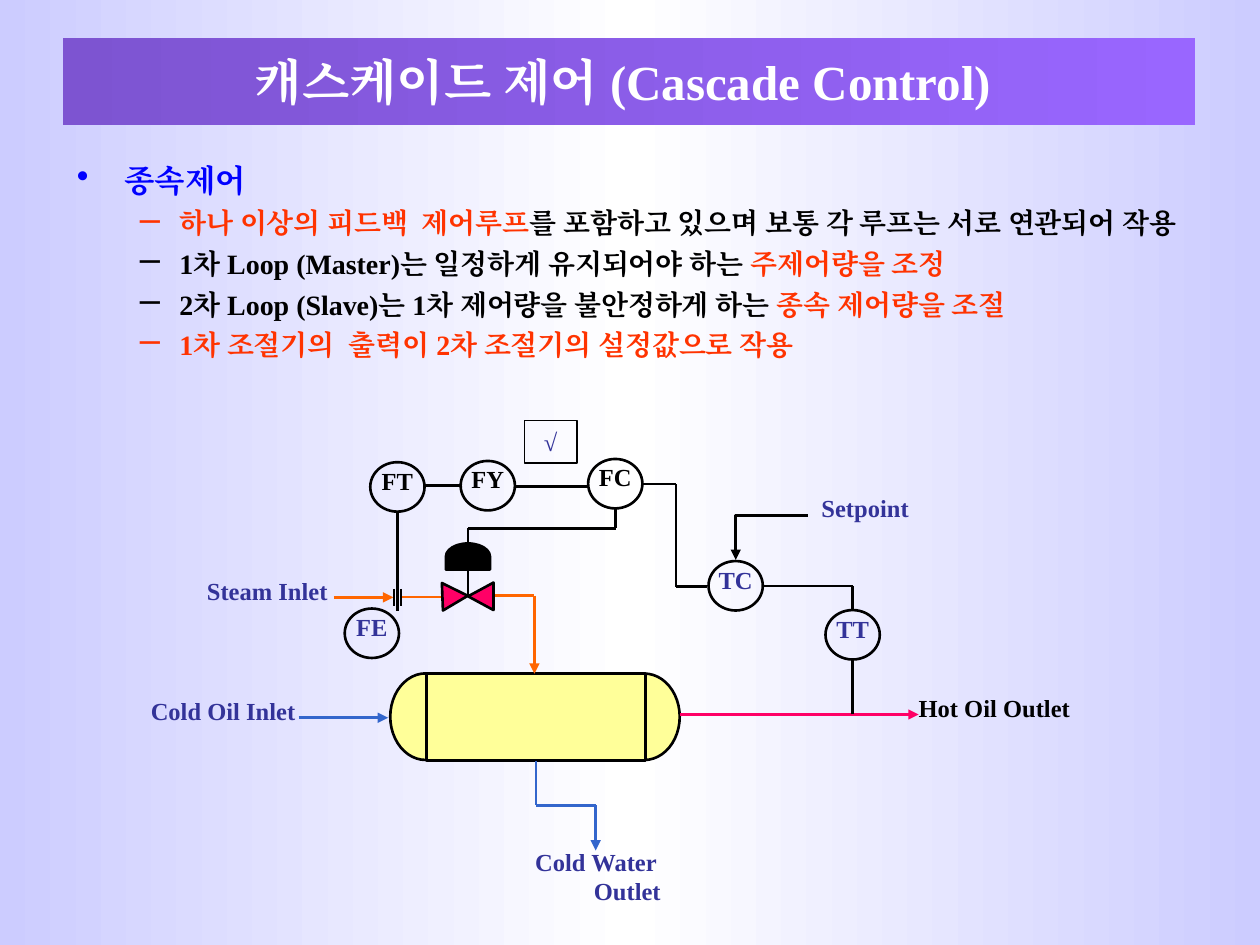
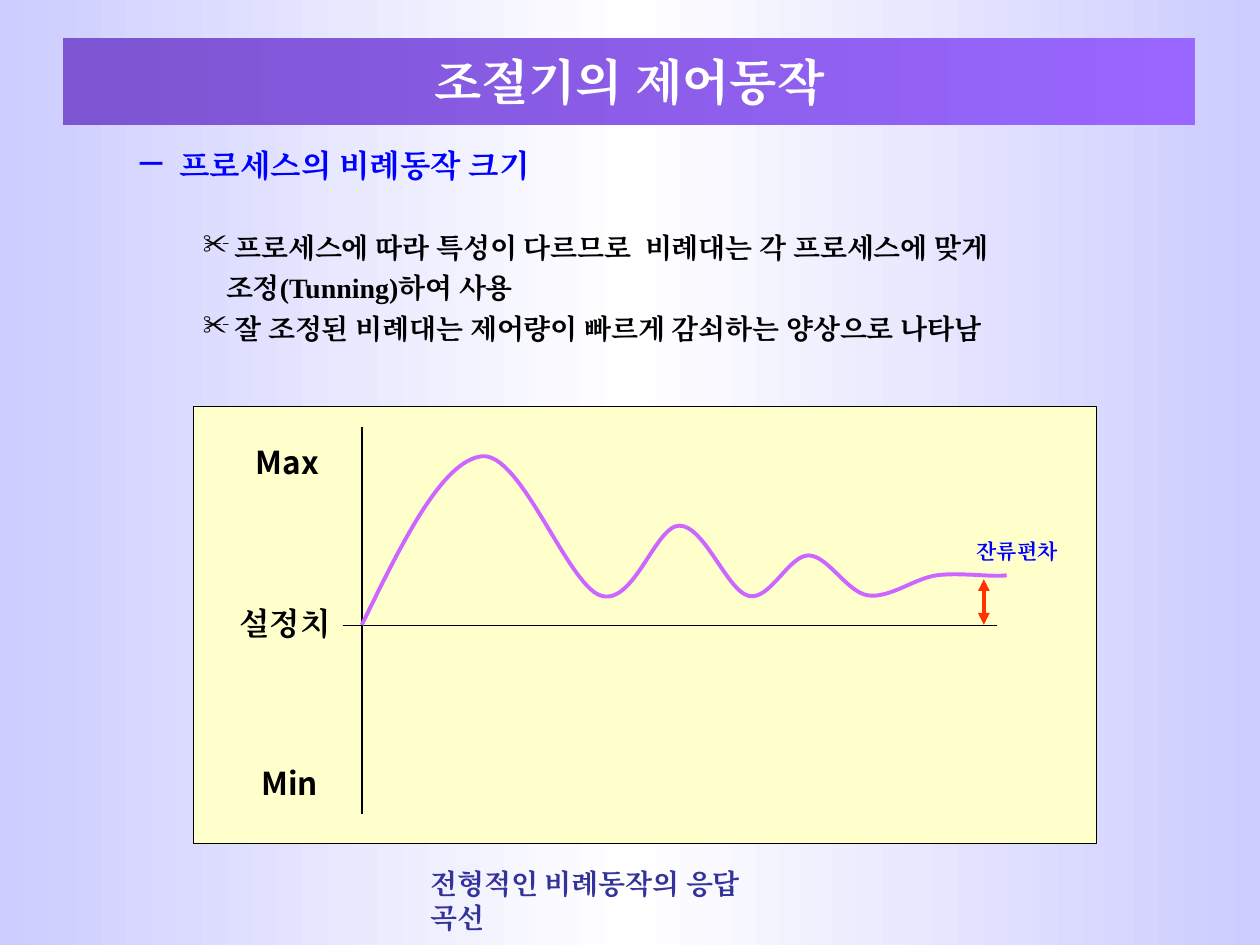
from copy import deepcopy
from itertools import pairwise

from lxml.etree import SubElement
from pptx import Presentation
from pptx.dml.color import RGBColor
from pptx.enum.shapes import MSO_CONNECTOR, MSO_SHAPE
from pptx.enum.text import MSO_ANCHOR, PP_ALIGN
from pptx.oxml.ns import qn
from pptx.util import Pt

SERIF, SANS = "Times New Roman", "Noto Sans CJK KR"
BLACK = RGBColor(0x00, 0x00, 0x00)
WHITE = RGBColor(0xFF, 0xFF, 0xFF)
LAVENDER = RGBColor(0xCC, 0xCC, 0xFF)
VIOLET = RGBColor(0x7D, 0x54, 0xD1)
PURPLE = RGBColor(0x99, 0x66, 0xFF)
BLUE = RGBColor(0x00, 0x00, 0xFF)
NAVY = RGBColor(0x33, 0x33, 0x99)
RED = RGBColor(0xFF, 0x33, 0x00)
PINK = RGBColor(0xFF, 0x00, 0x66)
ORANGE = RGBColor(0xFF, 0x66, 0x00)
WATER = RGBColor(0x33, 0x66, 0xCC)
YELLOW = RGBColor(0xFF, 0xFF, 0x99)
CREAM = RGBColor(0xFF, 0xFF, 0xCC)
ORCHID = RGBColor(0xCC, 0x66, 0xFF)

# Paragraphs: runs of (text, colour), then their format
DASH = dict(size=16, margin=58.5, indent=-22.5, before=4, bullet="–", bullet_size=130)
SCISSORS = dict(size=16, margin=90, indent=-18, before=4, bullet="✂")
CASCADE_TEXT = [
    ([("종속제어", BLUE)],
     dict(size=18, margin=27, indent=-27, before=4.5, bullet="•", bullet_size=110)),
    ([("하나 이상의 피드백  제어루프", RED),
      ("를 포함하고 있으며 보통 각 루프는 서로 연관되어 작용", BLACK)], DASH),
    ([("1차 Loop (Master)는 일정하게 유지되어야 하는 ", BLACK), ("주제어량을 조정", RED)], DASH),
    ([("2차 Loop (Slave)는 1차 제어량을 불안정하게 하는 ", BLACK),
      ("종속 제어량을 조절", RED)], DASH),
    ([("1차 조절기의  출력이 2차 조절기의 설정값으로 작용", RED)], DASH),
]
ACTION_TEXT = [
    ([("프로세스의 비례동작 크기", BLUE)], DASH | dict(size=18, before=4.5)),
    ([("프로세스에 따라 특성이 다르므로  비례대는 각 프로세스에 맞게", BLACK)],
     SCISSORS | dict(before=26.5)),
    ([("조정(Tunning)하여 사용", BLACK)], dict(size=16, margin=85.25, before=4)),
    ([("잘 조정된 비례대는 제어량이 빠르게 감쇠하는 양상으로 나타남", BLACK)], SCISSORS),
]

# Instruments: name, centre x, top, colour
INSTRUMENT_W, INSTRUMENT_H = 31, 28.25
INSTRUMENTS = [
    ("FT", 227.1, 264.1, BLACK), ("FY", 278.75, 263.4, BLACK), ("FC", 351.6, 262.25, BLACK),
    ("TC", 420.4, 320.6, NAVY), ("TT", 487.25, 348.6, NAVY), ("FE", 212.5, 347.75, NAVY),
]
# Labels: text, centre x, top, colour, width
FLOW_LABELS = [
    ("Cold Oil Inlet", 127.5, 394, NAVY, 169), ("Hot Oil Outlet", 568.2, 392.5, BLACK, 173),
    ("Steam Inlet", 152.75, 325.5, NAVY, 155.5), ("Setpoint", 494.4, 278, NAVY, 136),
]
# Pipes and signals: colour, arrow at the end, corner points
PIPES = [
    (WATER, True, [(306.2, 434.75), (306.2, 460.2), (340.4, 460.2), (340.4, 486)]),
    (WATER, True, [(170.6, 410.2), (221.8, 410.2)]),
    (PINK, True, [(388.6, 408.3), (525, 408.3)]),
    (ORANGE, True, [(283, 340.4), (305.4, 340.4), (305.4, 385)]),
    (ORANGE, False, [(252, 341.2), (229.5, 341.2)]),
    (ORANGE, True, [(190.75, 341.4), (224.8, 341.4)]),
    (BLACK, False, [(487.2, 408.3), (487.2, 376.6)]),
    (BLACK, False, [(229.2, 336.5), (229.2, 346.5)]),
    (BLACK, False, [(225.2, 336.5), (225.2, 346.5)]),
    (BLACK, False, [(227.1, 349), (227.1, 293.2)]),
    (BLACK, False, [(267.4, 310), (267.4, 301.9), (351.8, 301.9), (351.8, 290.8)]),
    (BLACK, False, [(367.2, 276.6), (386.3, 276.6), (386.3, 335.2), (404.1, 335.2)]),
    (BLACK, False, [(436.2, 334.8), (487.2, 334.8), (487.2, 347.8)]),
    (BLACK, False, [(243, 277.4), (263.5, 277.4)]),
    (BLACK, False, [(294, 277.9), (336, 277.9)]),
]
SETPOINT_SIGNAL = (461.6, 294.6), (420.5, 320)
# Vessel and valve: shape, box, rotation, fill
EQUIPMENT = [
    (MSO_SHAPE.OVAL, (223, 384.8, 40.5, 49.5), 0, YELLOW),
    (MSO_SHAPE.OVAL, (347.9, 384.9, 40.5, 49.4), 0, YELLOW),
    (MSO_SHAPE.RECTANGLE, (243.9, 385, 125, 49.5), 0, YELLOW),
    (MSO_SHAPE.ISOSCELES_TRIANGLE, (252.2, 333.5, 15.7, 14.5), 87.8, PINK),
    (MSO_SHAPE.ISOSCELES_TRIANGLE, (266.9, 333.5, 15.7, 14.5), 270, PINK),
    (MSO_SHAPE.FLOWCHART_DELAY, (259.9, 305.4, 15, 25.2), 270, BLACK),
]
# Response curve: start, then two control points and an end per piece
RESPONSE_START = (206.75, 357.1)
RESPONSE = [
    ((229.5, 310.5), (252.5, 263.5), (275.25, 260.75)),
    ((297.5, 258), (324, 333.5), (343, 340.25)),
    ((362, 347), (374.5, 300.4), (388.25, 300.4)),
    ((402.5, 300.4), (415.5, 337.5), (427.75, 340.5)),
    ((440, 343.5), (450.5, 317.5), (462, 317.4)),
    ((473, 317.4), (484, 338.5), (496, 340.25)),
    ((508.5, 342), (522.5, 330.5), (535.5, 328.75)),
    ((548.5, 327), (568, 330), (575.25, 328.75)),
]
# Scale labels: text, box
SCALE_LABELS = [
    ("Max", (139, 249.6, 55.5, 29)), ("Min", (142.2, 432.9, 48, 29)),
    ("설정치", (129.75, 341.5, 64, 29)),
]


def box(*lengths):
    return [Pt(v) for v in lengths]


def set_gradient(fill, element, colours):
    """Left-to-right gradient with evenly spaced colours."""
    fill.gradient()
    fill.gradient_angle = 0
    stops = element.xpath(".//a:gsLst")[0]
    while len(stops) < len(colours):
        stops.append(deepcopy(stops[0]))
    for i, (stop, colour) in enumerate(zip(fill.gradient_stops, colours)):
        stop.position = i / (len(colours) - 1)
        stop.color.rgb = colour


def add_paragraph(p, runs, size=14, font=SERIF, align=PP_ALIGN.LEFT, margin=0, indent=0,
                  before=0, bullet=None, bullet_size=100):
    p.alignment = align
    p.space_before = Pt(before)
    pPr = p._p.get_or_add_pPr()
    pPr.set("marL", str(Pt(margin)))
    pPr.set("indent", str(Pt(indent)))
    if bullet:
        clr = SubElement(pPr, qn("a:buClr"))
        SubElement(clr, qn("a:srgbClr"), val=str(runs[0][1]))
        SubElement(pPr, qn("a:buSzPct"), val=str(bullet_size * 1000))
        SubElement(pPr, qn("a:buChar"), char=bullet)
    for text, colour in runs:
        r = p.add_run()
        r.text = text
        r.font.size, r.font.bold, r.font.name = Pt(size), True, font
        r.font.color.rgb = colour
        SubElement(r._r.get_or_add_rPr(), qn("a:ea"), typeface=SERIF)


def write(sp, text, colour=BLACK, wrap=True, anchor=MSO_ANCHOR.TOP, **fmt):
    tf = sp.text_frame
    tf.word_wrap, tf.vertical_anchor = wrap, anchor
    add_paragraph(tf.paragraphs[0], [(text, colour)], **fmt)


def write_centred(sp, text, colour, **fmt):
    """Centred text with a hanging first line."""
    write(sp, text, colour, align=PP_ALIGN.CENTER, margin=36, indent=-36, **fmt)


def add_label(s, text, centre, top, colour, width=105, wrap=False, **fmt):
    tb = s.shapes.add_textbox(*box(centre - width / 2, top, width, 24.5))
    write_centred(tb, text, colour, wrap=wrap, **fmt)


def add_body(s, paragraphs, top, width):
    tf = s.shapes.add_textbox(*box(36.9, top, width, 414)).text_frame
    tf.word_wrap = True
    for i, (runs, fmt) in enumerate(paragraphs):
        add_paragraph(tf.add_paragraph() if i else tf.paragraphs[0], runs, **fmt)


def style(sp, fill, line, weight):
    sp.shadow.inherit = False
    if fill is None:
        sp.fill.background()
    else:
        sp.fill.solid()
        sp.fill.fore_color.rgb = fill
    if line is None:
        sp.line.fill.background()
    else:
        sp.line.color.rgb, sp.line.width = line, Pt(weight)


def add_shape(s, kind, at, fill=None, line=BLACK, weight=1.5, rotation=0):
    sp = s.shapes.add_shape(kind, *box(*at))
    sp.rotation = rotation
    style(sp, fill, line, weight)
    return sp


def add_line(s, start, end, colour=BLACK, weight=1.5, heads=(), kind=MSO_CONNECTOR.STRAIGHT):
    cn = s.shapes.add_connector(kind, *box(*start, *end))
    cn.line.color.rgb, cn.line.width = colour, Pt(weight)
    for head in heads:
        SubElement(cn.line._get_or_add_ln(), qn("a:" + head), type="triangle")
    SubElement(cn.element.spPr, qn("a:effectLst"))
    return cn


def add_curve(s, start, pieces, fill, line, weight):
    """Outline of cubic Bézier pieces."""
    builder = s.shapes.build_freeform(*box(*start))
    builder.add_line_segments([box(*pt) for piece in pieces for pt in piece], close=False)
    sp = builder.convert_to_shape()
    outline = sp.element.xpath(".//a:path")[0]
    straight = outline.findall(qn("a:lnTo"))
    for i in range(0, len(straight), 3):
        curve = SubElement(outline, qn("a:cubicBezTo"))
        for segment in straight[i:i + 3]:
            curve.append(segment[0])
            outline.remove(segment)
    style(sp, fill, line, weight)


def add_slide(prs, title, font):
    s = prs.slides.add_slide(prs.slide_layouts[6])
    sp = add_shape(s, MSO_SHAPE.RECTANGLE, (36, 21.75, 647, 49.5), line=None)
    set_gradient(sp.fill, sp.element, [VIOLET, PURPLE])
    write(sp, title, WHITE, anchor=MSO_ANCHOR.MIDDLE, size=28, font=font,
          align=PP_ALIGN.CENTER)
    return s


def build_cascade(prs):
    s = add_slide(prs, "캐스케이드 제어 (Cascade Control) ", SERIF)
    add_body(s, CASCADE_TEXT, 88.5, 682)
    for kind, at, rotation, fill in EQUIPMENT:
        add_shape(s, kind, at, fill, rotation=rotation)
    add_line(s, (267.4, 324), (267.4, 340.5))
    for colour, arrow, points in PIPES:
        segments = list(pairwise(points))
        for segment in segments:
            last = arrow and segment == segments[-1]
            add_line(s, *segment, colour, heads=["tailEnd"] if last else [])
    elbow = add_line(s, *SETPOINT_SIGNAL, heads=["tailEnd"], kind=MSO_CONNECTOR.ELBOW)
    elbow.element.xpath(".//a:prstGeom")[0].set("prst", "bentConnector2")
    for name, centre, top, colour in INSTRUMENTS:
        add_shape(s, MSO_SHAPE.OVAL,
                  (centre - INSTRUMENT_W / 2, top, INSTRUMENT_W, INSTRUMENT_H))
        add_label(s, name, centre, top - 1.5, colour)
    for label in FLOW_LABELS:
        add_label(s, *label)
    add_label(s, "Cold Water Outlet", 340.5, 480.25, NAVY, width=102, wrap=True)
    root = add_shape(s, MSO_SHAPE.RECTANGLE, (299.7, 240.3, 30, 24.25), weight=0.75)
    write_centred(root, "√", NAVY, wrap=False)


def build_action(prs):
    s = add_slide(prs, "조절기의 제어동작", SANS)
    add_body(s, ACTION_TEXT, 80, 647)
    add_shape(s, MSO_SHAPE.RECTANGLE, (110.5, 232.25, 516, 249.75), CREAM, weight=0.75)
    add_line(s, (206.9, 244), (206.9, 465), weight=0.75)
    add_line(s, (195.75, 357.4), (569.75, 357.4), weight=0.75)
    add_curve(s, RESPONSE_START, RESPONSE, CREAM, ORCHID, 2.25)
    for text, at in SCALE_LABELS:
        sp = add_shape(s, MSO_SHAPE.RECTANGLE, at, CREAM, line=None)
        write(sp, text, wrap=False, size=18, font=SANS)
    caption = s.shapes.add_textbox(*box(239, 491.75, 219, 26.5))
    write(caption, "전형적인 비례동작의 응답 곡선", NAVY, wrap=False, size=16, font=SANS)
    add_line(s, (562.2, 331), (562.2, 357), RED, 2.25, ["headEnd", "tailEnd"])
    add_label(s, "잔류편차", 581.4, 304, BLUE, width=69, size=12, before=7.5)


def main():
    prs = Presentation()
    prs.slide_width, prs.slide_height = box(720, 540)
    master = prs.slide_master
    set_gradient(master.background.fill, master.element, [LAVENDER, WHITE, LAVENDER])
    build_cascade(prs)
    build_action(prs)
    prs.save("out.pptx")


if __name__ == "__main__":
    main()
